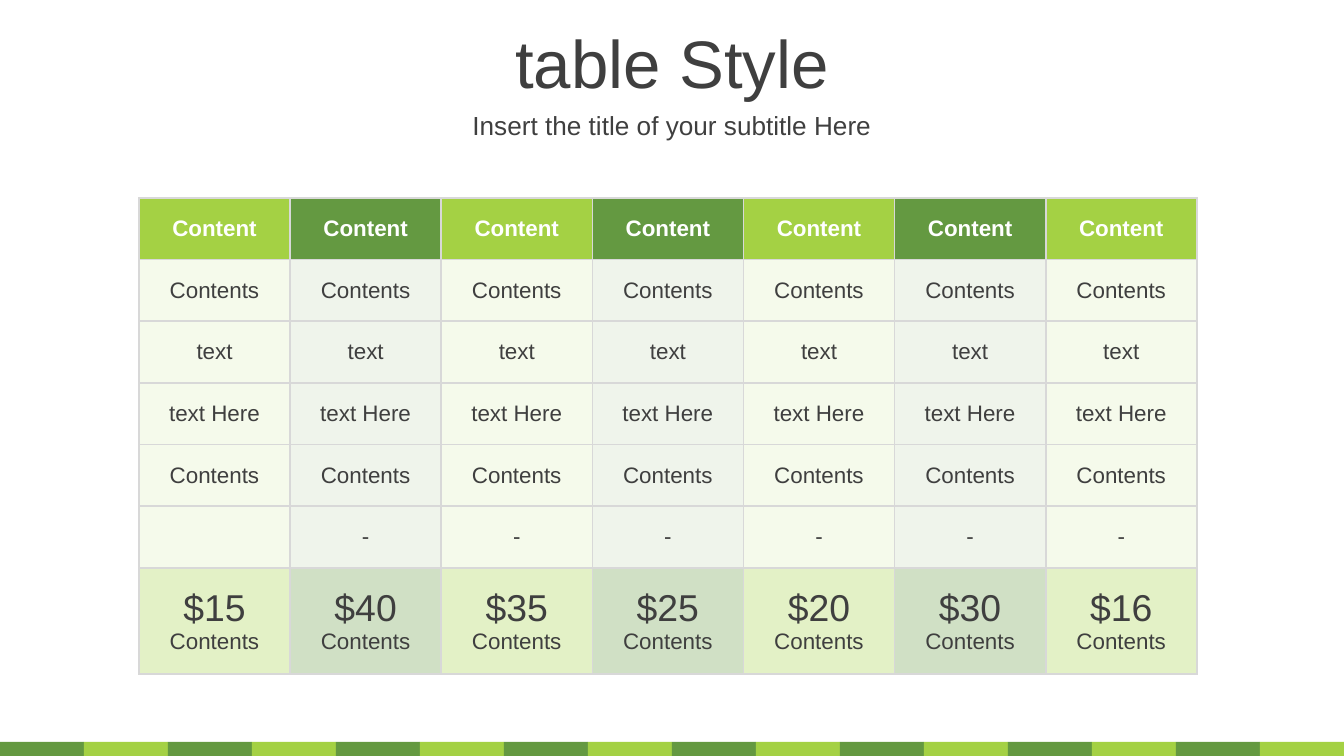
from dataclasses import dataclass

from lxml.etree import SubElement
from pptx import Presentation
from pptx.dml.color import RGBColor
from pptx.enum.shapes import MSO_SHAPE as Shape
from pptx.enum.text import MSO_ANCHOR as Anchor, MSO_AUTO_SIZE as AutoSize, PP_ALIGN as Align
from pptx.oxml import parse_xml
from pptx.oxml.ns import nsdecls, qn
from pptx.util import Pt

SLIDE_WIDTH, SLIDE_HEIGHT = 1344, 756
EMU_PER_PX = 9144000 / SLIDE_WIDTH


@dataclass(frozen=True)
class Theme:
    font: str = "Arial"
    text: str = "3F3F3F"
    white: str = "FFFFFF"
    border: str = "D8D8D8"
    lime: str = "A4D144"
    green: str = "649941"
    title_size: int = 36
    subtitle_size: int = 14
    price_size: int = 20
    cell_size: int = 12


def emu(px):
    return round(px * EMU_PER_PX)


def set_attributes(target, values):
    for name, value in values.items():
        setattr(target, name, value)


class SlideBuilder:
    def __init__(self, slide, theme):
        self.slide = slide
        self.theme = theme

    def place(self, shape, left, top, width, height):
        box = {"left": left, "top": top, "width": width, "height": height}
        set_attributes(shape, {name: emu(px) for name, px in box.items()})

    def format_text(self, paragraph, text, size, color, bold=False):
        paragraph.text = text
        paragraph.alignment = Align.CENTER
        font = paragraph.font
        set_attributes(font, {"name": self.theme.font, "size": Pt(size), "bold": bold})
        font.color.rgb = RGBColor.from_string(color)

    def heading(self, shape, text, size):
        frame = shape.text_frame
        set_attributes(frame, {
            "word_wrap": True,
            "auto_size": AutoSize.NONE,
            "vertical_anchor": Anchor.MIDDLE,
        })
        self.format_text(frame.paragraphs[0], text, size, self.theme.text)

    def title(self, text, *box):
        shape = self.slide.shapes.title
        self.place(shape, *box)
        self.heading(shape, text, self.theme.title_size)

    def subtitle(self, text, *box):
        shape = self.slide.shapes.add_textbox(*map(emu, box))
        self.heading(shape, text, self.theme.subtitle_size)

    def bar(self, color, *box):
        shape = self.slide.shapes.add_shape(Shape.RECTANGLE, *map(emu, box))
        shape.shadow.inherit = False
        shape.fill.solid()
        shape.fill.fore_color.rgb = RGBColor.from_string(color)
        shape.line.fill.background()

    def style_cell(self, cell, color, opacity):
        cell.vertical_anchor = Anchor.MIDDLE
        cell.fill.solid()
        cell.fill.fore_color.rgb = RGBColor.from_string(color)
        properties = cell._tc.get_or_add_tcPr()
        if opacity < 100:
            fill_color = properties.find(".//" + qn("a:srgbClr"))
            SubElement(fill_color, qn("a:alpha"), val=str(opacity * 1000))
        for index, side in enumerate("LRTB"):
            properties.insert(index, parse_xml(
                f'<a:ln{side} {nsdecls("a")} w="{Pt(1)}"><a:solidFill>'
                f'<a:srgbClr val="{self.theme.border}"/></a:solidFill></a:ln{side}>'
            ))

    def price_table(self, rows, colors, left, top, width, body_height, price_height):
        theme = self.theme
        last = len(rows) - 1
        frame = self.slide.shapes.add_table(
            len(rows), len(colors), emu(left), emu(top),
            emu(width), emu(body_height + price_height),
        )
        table = frame.table
        set_attributes(table, {"first_row": False, "horz_banding": False})
        for column in table.columns:
            column.width = emu(width / len(colors))
        for row_index, (row, texts) in enumerate(zip(table.rows, rows)):
            is_header, is_price = row_index == 0, row_index == last
            row.height = emu(price_height if is_price else body_height / last)
            opacity = 100 if is_header else 30 if is_price else 10
            text_color = theme.white if is_header else theme.text
            for cell, text, color in zip(row.cells, texts, colors):
                self.style_cell(cell, color, opacity)
                size = theme.price_size if is_price else theme.cell_size
                paragraph = cell.text_frame.paragraphs[0]
                self.format_text(paragraph, text, size, text_color, is_header)
                if is_price:
                    caption = cell.text_frame.add_paragraph()
                    self.format_text(caption, "Contents", theme.cell_size, text_color)


def main():
    presentation = Presentation()
    presentation.slide_width = emu(SLIDE_WIDTH)
    presentation.slide_height = emu(SLIDE_HEIGHT)
    theme = Theme()
    slide = presentation.slides.add_slide(presentation.slide_layouts[5])
    builder = SlideBuilder(slide, theme)

    bar_count, bar_width, bar_height = 16, 84, 14
    for index in range(bar_count):
        color = theme.lime if index % 2 else theme.green
        builder.bar(color, index * bar_width, SLIDE_HEIGHT - bar_height, bar_width, bar_height)

    builder.title("table Style", 0, 19, SLIDE_WIDTH, 85)
    builder.subtitle("Insert the title of your subtitle Here", 0, 104, SLIDE_WIDTH, 42)

    column_count = 7
    labels = ["Content", "Contents", "text", "text Here", "Contents"]
    rows = [[label] * column_count for label in labels]
    rows.append([""] + ["-"] * (column_count - 1))
    rows.append(["$15", "$40", "$35", "$25", "$20", "$30", "$16"])
    colors = [theme.green if index % 2 else theme.lime for index in range(column_count)]
    builder.price_table(rows, colors, 139, 198, 1058, 370, 106)

    presentation.save("out.pptx")


if __name__ == "__main__":
    main()
